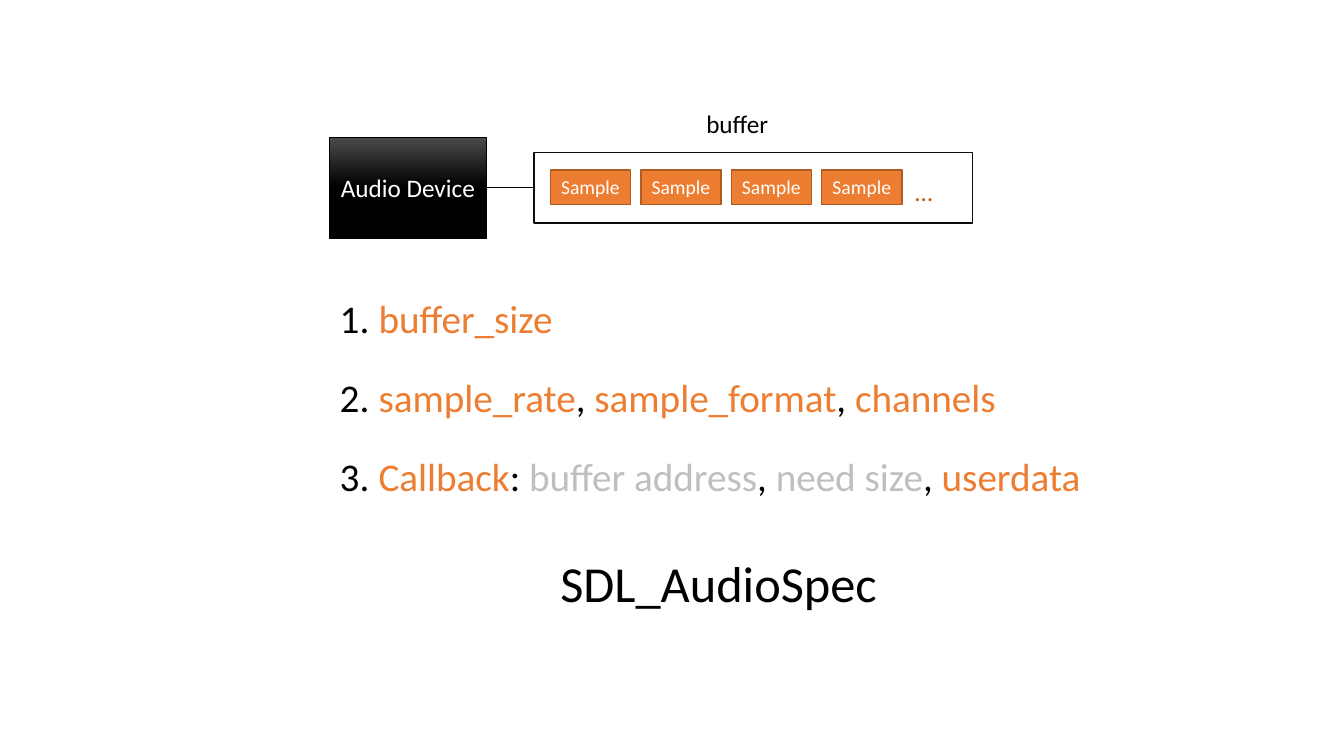
from lxml.etree import SubElement
from pptx import Presentation
from pptx.dml.color import RGBColor
from pptx.enum.shapes import MSO_CONNECTOR, MSO_SHAPE
from pptx.enum.text import MSO_ANCHOR, MSO_AUTO_SIZE, PP_ALIGN
from pptx.oxml.ns import qn
from pptx.util import Cm, Pt

BLACK = RGBColor(0x00, 0x00, 0x00)
WHITE = RGBColor(0xFF, 0xFF, 0xFF)
SOOT = RGBColor(0x4B, 0x4B, 0x4B)
INK = RGBColor(0x0D, 0x0D, 0x0D)
GREY = RGBColor(0xBF, 0xBF, 0xBF)
ORANGE = RGBColor(0xED, 0x7D, 0x31)
RUST = RGBColor(0xAF, 0x5C, 0x24)
BROWN = RGBColor(0xC5, 0x5A, 0x11)

TITLE = "SDL_AudioSpec"
SAMPLES = ["Sample"] * 4
COMMA = (", ", BLACK)
ITEMS = [
    [("buffer_size", ORANGE)],
    [("sample_rate", ORANGE), COMMA, ("sample_format", ORANGE), COMMA,
     ("channels", ORANGE)],
    [("Callback", ORANGE), (": ", BLACK), ("buffer address", GREY), COMMA,
     ("need size", GREY), COMMA, ("userdata", ORANGE)],
]

LEFT = 8.31
DEVICE = (LEFT, 3.45, 3.94, 2.57)
BUFFER = (13.46, 3.84, 11.05, 1.78)
SAMPLE = (13.87, 4.28, 2.02, 0.87)
PITCH = 2.28
INDENT = Cm(0.98)


def place(shape, box):
    shape.left, shape.top, shape.width, shape.height = map(Cm, box)


def write(shape, text, size=18, color=BLACK, align=PP_ALIGN.LEFT,
          anchor=MSO_ANCHOR.TOP, wrap=False, after=0):
    frame = shape.text_frame
    frame.auto_size = MSO_AUTO_SIZE.NONE
    frame.word_wrap = wrap
    frame.vertical_anchor = anchor
    frame.margin_left = frame.margin_right = Cm(0.25)
    frame.margin_top = frame.margin_bottom = Cm(0.13)
    rows = [[(text, color)]] if isinstance(text, str) else text
    for num, row in enumerate(rows):
        para = frame.add_paragraph() if num else frame.paragraphs[0]
        para.alignment = align
        para.line_spacing = 1.0
        para.space_before, para.space_after = Pt(0), Pt(after)
        for words, tint in row:
            run = para.add_run()
            run.text = words
            run.font.name, run.font.size = "Calibri", Pt(size)
            run.font.color.rgb = tint


def rect(box, line, width, fill=None):
    shape = slide.shapes.add_shape(MSO_SHAPE.RECTANGLE, *map(Cm, box))
    shape.shadow.inherit = False
    shape.line.color.rgb = line
    shape.line.width = Pt(width)
    if fill is None:
        shape.fill.background()
    else:
        shape.fill.solid()
        shape.fill.fore_color.rgb = fill
    return shape


def label(text, box, **style):
    write(slide.shapes.add_textbox(*map(Cm, box)), text, **style)


def number(para):
    props = para._p.get_or_add_pPr()
    props.set("marL", str(INDENT))
    props.set("indent", str(-INDENT))
    tint = SubElement(props, qn("a:buClr"))
    SubElement(tint, qn("a:srgbClr")).set("val", str(BLACK))
    SubElement(props, qn("a:buFont")).set("typeface", "Calibri")
    SubElement(props, qn("a:buAutoNum")).set("type", "arabicPeriod")


deck = Presentation()
deck.slide_width, deck.slide_height = Cm(33.87), Cm(19.05)
slide = deck.slides.add_slide(deck.slide_layouts[1])
middle = {"align": PP_ALIGN.CENTER, "anchor": MSO_ANCHOR.MIDDLE}

device = rect(DEVICE, BLACK, 0.5, BLACK)
device.fill.gradient()
device.fill.gradient_angle = 270
for stop, (spot, tint) in zip(device.fill.gradient_stops,
                              [(0, SOOT), (0.5, BLACK)]):
    stop.position, stop.color.rgb = spot, tint
write(device, "Audio Device", color=WHITE, **middle)

x, y, w, h = SAMPLE
for num, name in enumerate(SAMPLES):
    chip = rect((x + num * PITCH, y, w, h), RUST, 1, ORANGE)
    write(chip, name, size=14, color=WHITE, **middle)
rect(BUFFER, INK, 1)
label("…", (22.81, 4.32, 0.97, 1.02), color=BROWN)
label("buffer", (17.55, 2.59, 2.11, 1.02))

mid = Cm(BUFFER[1] + BUFFER[3] / 2)
link = slide.shapes.add_connector(
    MSO_CONNECTOR.STRAIGHT, Cm(DEVICE[0] + DEVICE[2]), mid, Cm(BUFFER[0]), mid)
link.line.color.rgb = BLACK
link.line.width = Pt(0.5)
SubElement(link._element.spPr, qn("a:effectLst"))

title, body = slide.placeholders
place(title, (13.87, 13.77, 8.56, 1.8))
write(title, TITLE, size=36)
place(body, (LEFT, 7.29, 19.41, 5.44))
write(body, ITEMS, size=28, wrap=True, after=22.7)
for para in body.text_frame.paragraphs:
    number(para)

deck.save("out.pptx")
